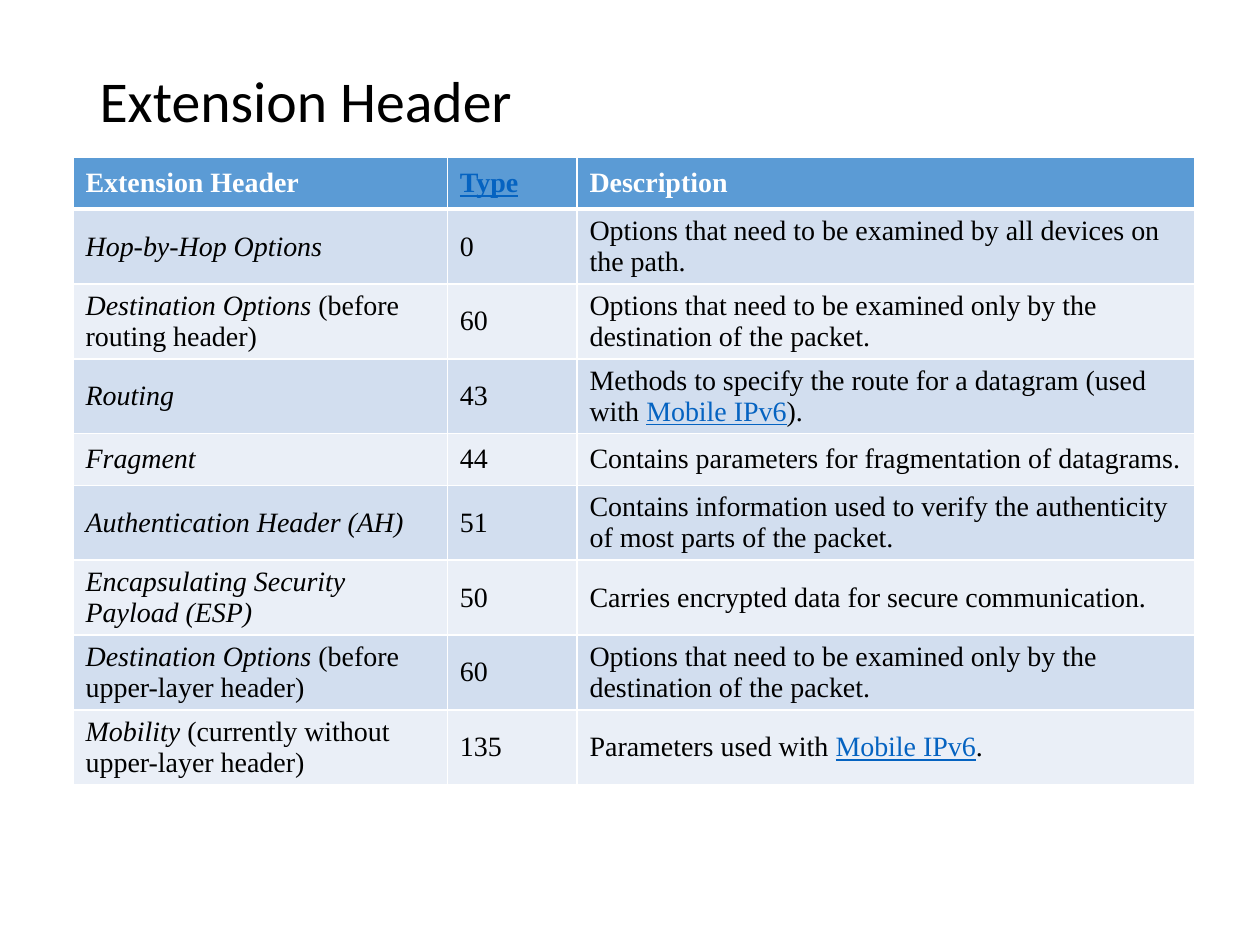
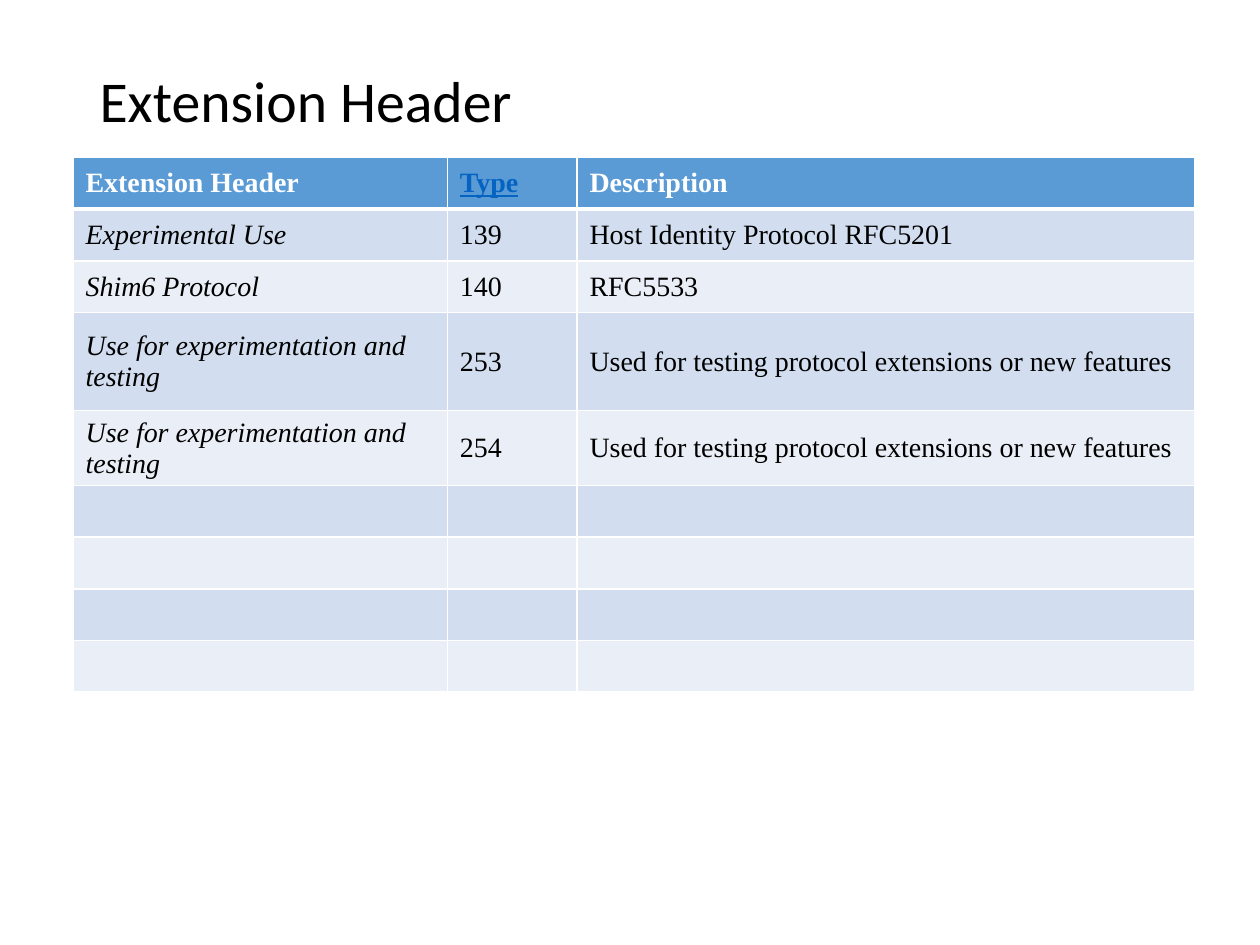
from dataclasses import dataclass

from lxml.etree import SubElement
from pptx import Presentation
from pptx.dml.color import RGBColor as RGB
from pptx.enum.text import MSO_ANCHOR as Anchor, MSO_AUTO_SIZE as AutoSize, PP_ALIGN as Align
from pptx.oxml import parse_xml
from pptx.oxml.ns import nsdecls, qn
from pptx.util import Inches, Pt


@dataclass(frozen=True)
class Theme:
    title_font: str = "Calibri"
    table_font: str = "Times New Roman"
    title_size: int = 33
    table_size: int = 16
    ink: str = "000000"
    white: str = "FFFFFF"
    link: str = "0563C1"
    header: str = "5B9BD5"
    bands: tuple = ("D2DEEF", "EAEFF7")
    thin: int = 1
    thick: int = 3


THEME = Theme()
WIDTH, HEIGHT = Inches(10), Inches(7.5)

# Boxes and row heights, in inches
TITLE_BOX = (0.69, 0.4, 8.62, 0.85)
TABLE_BOX = (0.58, 1.25, 8.9, 3.69)
COLUMN_WIDTHS = (2.97, 1.03, 4.9)
ROW_HEIGHT = 0.41
BODY_ROWS = 8

# Run styles
PLAIN, ITALIC, LINK = "plain", "italic", "link"

HEADINGS = ("Extension Header", [("Type", LINK)], "Description")
BY_DESTINATION = "Options that need to be examined only by the destination of the packet."
FOR_TESTING = "Used for testing protocol extensions or new features"
MOBILE = ("Mobile IPv6", LINK)

# Each row: italic name, remark after the name, type, description
STANDARD_HEADERS = [
    ("Hop-by-Hop Options", "", "0",
     "Options that need to be examined by all devices on the path."),
    ("Destination Options", " (before routing header)", "60", BY_DESTINATION),
    ("Routing", "", "43",
     [("Methods to specify the route for a datagram (used with ", PLAIN), MOBILE, (").", PLAIN)]),
    ("Fragment", "", "44", "Contains parameters for fragmentation of datagrams."),
    ("Authentication Header (AH)", "", "51",
     "Contains information used to verify the authenticity of most parts of the packet."),
    ("Encapsulating Security Payload (ESP)", "", "50",
     "Carries encrypted data for secure communication."),
    ("Destination Options", " (before upper-layer header)", "60", BY_DESTINATION),
    ("Mobility", " (currently without upper-layer header)", "135",
     [("Parameters used with ", PLAIN), MOBILE, (".", PLAIN)]),
]
EXPERIMENTAL_HEADERS = [
    ("Experimental Use", "", "139", "Host Identity Protocol RFC5201"),
    ("Shim6 Protocol", "", "140", "RFC5533"),
    ("Use for experimentation and testing", "", "253", FOR_TESTING),
    ("Use for experimentation and testing", "", "254", FOR_TESTING),
]


def set_borders(cell, top, bottom):
    """Draw white lines on all four sides of a cell."""
    tcPr = cell._tc.get_or_add_tcPr()
    widths = {"lnL": THEME.thin, "lnR": THEME.thin, "lnT": top, "lnB": bottom}
    for i, (side, width) in enumerate(widths.items()):
        ln = parse_xml(f'<a:{side} {nsdecls("a")} w="{Pt(width)}"/>')
        fill = SubElement(ln, qn("a:solidFill"))
        SubElement(fill, qn("a:srgbClr"), val=THEME.white)
        tcPr.insert(i, ln)


def fill_cell(cell, content, row):
    """Write plain text or styled runs into a cell of the given row."""
    is_header = row == 0
    cell.vertical_anchor = Anchor.MIDDLE
    cell.fill.solid()
    cell.fill.fore_color.rgb = RGB.from_string(
        THEME.header if is_header else THEME.bands[(row - 1) % 2])
    set_borders(cell, THEME.thick if row == 1 else THEME.thin,
                THEME.thick if is_header else THEME.thin)
    p = cell.text_frame.paragraphs[0]
    runs = [(content, PLAIN)] if isinstance(content, str) else content
    for text, style in runs:
        if not text:
            continue
        r = p.add_run()
        r.text = text
        r.font.name, r.font.size = THEME.table_font, Pt(THEME.table_size)
        r.font.bold = is_header
        r.font.italic = style == ITALIC
        r.font.underline = style == LINK
        color = THEME.white if is_header else THEME.ink
        r.font.color.rgb = RGB.from_string(THEME.link if style == LINK else color)


def add_title(s, text, box):
    title = s.shapes.title
    title.left, title.top, title.width, title.height = map(Inches, box)
    tf = title.text_frame
    tf.text = text
    tf.auto_size = AutoSize.NONE
    tf.vertical_anchor = Anchor.MIDDLE
    p = tf.paragraphs[0]
    p.alignment, p.line_spacing = Align.LEFT, 0.9
    font = p.runs[0].font
    font.name, font.size = THEME.title_font, Pt(THEME.title_size)
    font.color.rgb = RGB.from_string(THEME.ink)


def add_header_table(s, headers, box, tall_rows):
    """Place the table; rows without a header entry stay empty."""
    rows = [HEADINGS]
    rows += [([(name, ITALIC), (remark, PLAIN)], number, description)
             for name, remark, number, description in headers]
    rows += [("", "", "")] * (BODY_ROWS - len(headers))
    table = s.shapes.add_table(len(rows), len(HEADINGS), *map(Inches, box)).table
    for column, width in zip(table.columns, COLUMN_WIDTHS):
        column.width = Inches(width)
    for i, row in enumerate(rows):
        table.rows[i].height = Inches(tall_rows.get(i, ROW_HEIGHT))
        for j, content in enumerate(row):
            fill_cell(table.cell(i, j), content, i)


def add_header_slide(prs, headers, tall_rows):
    s = prs.slides.add_slide(prs.slide_layouts.get_by_name("Title Only"))
    add_title(s, "Extension Header", TITLE_BOX)
    add_header_table(s, headers, TABLE_BOX, tall_rows)


def main():
    prs = Presentation()
    prs.slide_width, prs.slide_height = WIDTH, HEIGHT
    add_header_slide(prs, STANDARD_HEADERS, {})
    add_header_slide(prs, EXPERIMENTAL_HEADERS, {3: 0.78})
    prs.save("out.pptx")


if __name__ == "__main__":
    main()
